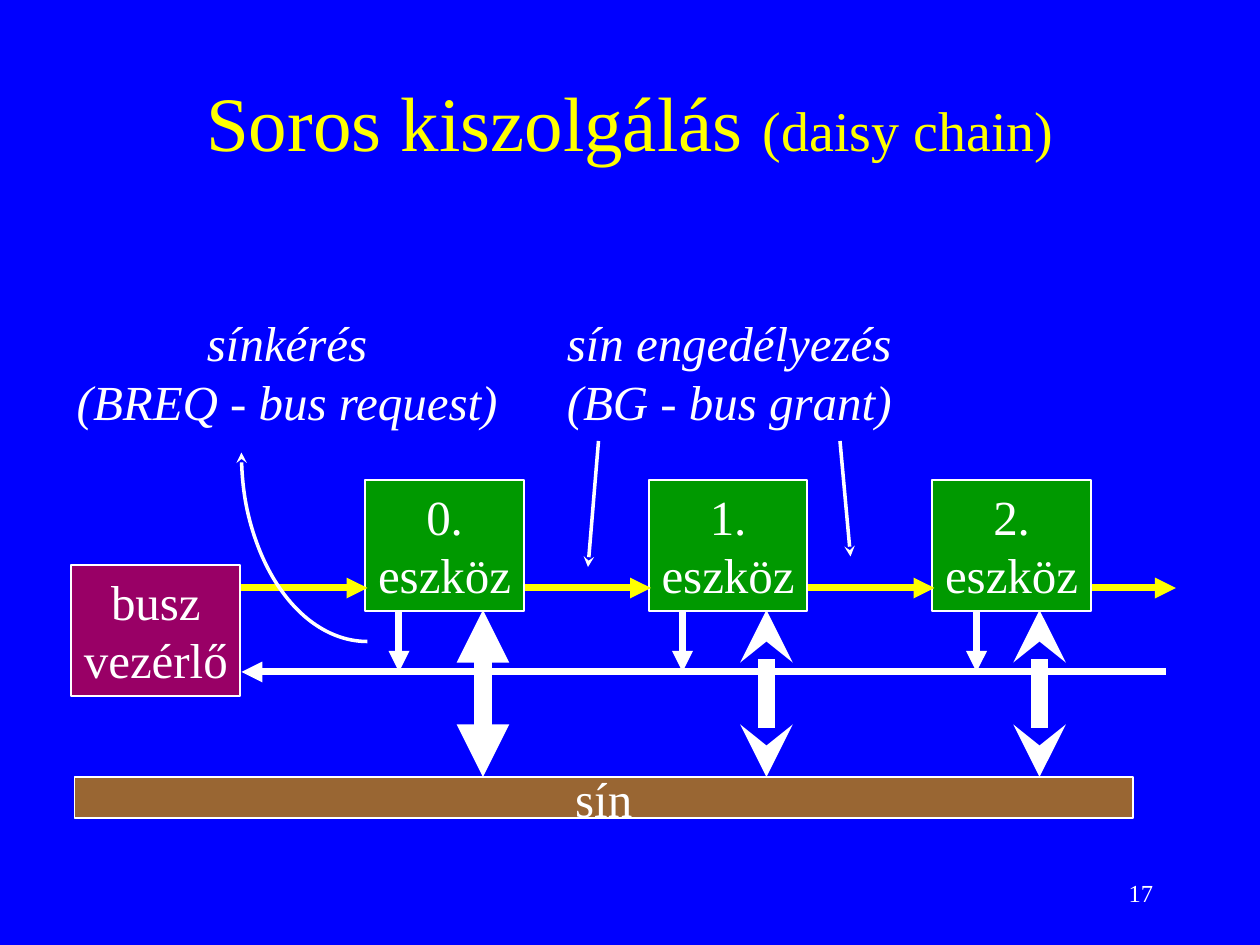
"""Builds the daisy chain bus slide on a grid of twelfths of an inch."""
from pptx import Presentation
from pptx.dml.color import RGBColor
from pptx.enum.shapes import MSO_CONNECTOR, MSO_SHAPE
from pptx.enum.text import MSO_ANCHOR, PP_ALIGN
from pptx.oxml.ns import qn
from pptx.util import Inches, Pt
from lxml import etree

LINE = MSO_CONNECTOR.STRAIGHT
RECT, ARC = MSO_SHAPE.RECTANGLE, MSO_SHAPE.ARC
TOP, MID = MSO_ANCHOR.TOP, MSO_ANCHOR.MIDDLE
LEFT, MIDDLE, RIGHT = PP_ALIGN.LEFT, PP_ALIGN.CENTER, PP_ALIGN.RIGHT

FONT = "Times New Roman"
HEX = {"back": "0000FF", "title": "FFFF00", "text": "FFFFFF", "grant": "FFFF00",
       "host": "990066", "unit": "009900", "bus": "996633"}
COLS, ROWS = 120, 90
FIRST, STEP, WIDE, TALL = 34.8, 27, 15.1, 12.5
GRANT, REQ, FOOT, BUS = 56, 64, 58.1, 74

TITLE = (("Soros kiszolgálás ", 44), ("(daisy chain)", 32))
UNITS = ("0.", "1.", "2.")
BOXES = [(6.8, 53.8, 16.1, TALL, ("busz", "vezérlő"), "host", TOP)]
BOXES += [(FIRST + STEP * i, 45.7, WIDE, TALL, (name, "eszköz"), "unit", TOP)
          for i, name in enumerate(UNITS)]
BOXES += [(7.1, BUS, 100.8, 3.9, ("sín",), "bus", MID)]
LABELS = (
    (6, 29.2, 42.7, TALL, ("sínkérés", "(BREQ - bus request)"), MIDDLE),
    (52.8, 29.2, 33.4, TALL, ("sín engedélyezés", "(BG - bus grant)"), LEFT),
)

TRI, DART = "triangle", "stealth"
ARROWS = [(23 + STEP * i, GRANT, 35 + STEP * i, GRANT, "grant", 4, None, TRI)
          for i in range(len(UNITS))]
ARROWS += [(104, GRANT, 112, GRANT, "grant", 4, None, TRI),
           (23, REQ, 111, REQ, "text", 4, TRI, None)]
ARROWS += [(x, FOOT, x, REQ, "text", 4, None, TRI) for x in (38, 65, 93)]
ARROWS += [(x, FOOT, x, BUS, "text", 10, tip, tip)
           for x, tip in ((46, TRI), (73, DART), (99, DART))]
ARROWS += [(57, 42, 56, 54, "text", 2, None, DART),
           (80, 42, 81, 53, "text", 2, None, DART)]

deck = Presentation()
deck.slide_width, deck.slide_height = Inches(10), Inches(7.5)
slide = deck.slides.add_slide(deck.slide_layouts[6])


def place(*cells):
    sizes = (deck.slide_width / COLS, deck.slide_height / ROWS)
    return [round(cell * sizes[i % 2]) for i, cell in enumerate(cells)]


def color(key):
    return RGBColor.from_string(HEX[key])


def style(font, size, key="text", slant=False):
    font.name, font.size, font.italic = FONT, Pt(size), slant
    font.color.rgb = color(key)


def write(shape, lines, align, anchor=TOP, size=28, slant=False, wrap=False):
    frame = shape.text_frame
    frame.word_wrap, frame.vertical_anchor = wrap, anchor
    frame.text = "\n".join(lines)
    for para in frame.paragraphs:
        para.alignment = align
        style(para.font, size, slant=slant)


def stroke(line, key, width, head=None, tail=None):
    line.color.rgb, line.width = color(key), Pt(width)
    for tag, kind in (("a:headEnd", head), ("a:tailEnd", tail)):
        if kind:
            etree.SubElement(line._get_or_add_ln(), qn(tag), type=kind)


def box(x, y, w, h, lines, key, anchor):
    shape = slide.shapes.add_shape(RECT, *place(x, y, w, h))
    shape.shadow.inherit = False
    shape.fill.solid()
    shape.fill.fore_color.rgb = color(key)
    stroke(shape.line, "text", 1)
    write(shape, lines, MIDDLE, anchor)


def arrow(x1, y1, x2, y2, key, width, head, tail):
    link = slide.shapes.add_connector(LINE, *place(x1, y1, x2, y2))
    stroke(link.line, key, width, head, tail)
    etree.SubElement(link._element.spPr, qn("a:effectLst"))


def curve():
    arc = slide.shapes.add_shape(ARC, *place(23, 25.1, 24, 36))
    arc.adjustments[0], arc.adjustments[1] = 54, 108
    arc.shadow.inherit = False
    arc.fill.background()
    stroke(arc.line, "text", 2, tail=DART)


def title():
    frame = slide.shapes.add_textbox(*place(9, 4, 102, 15)).text_frame
    frame.word_wrap, frame.vertical_anchor = True, MID
    para = frame.paragraphs[0]
    para.alignment = MIDDLE
    for text, size in TITLE:
        run = para.add_run()
        run.text = text
        style(run.font, size, "title")


def main():
    fill = slide.background.fill
    fill.solid()
    fill.fore_color.rgb = color("back")
    title()
    for item in BOXES:
        box(*item)
    for item in ARROWS:
        arrow(*item)
    curve()
    for *cells, lines, align in LABELS:
        write(slide.shapes.add_textbox(*place(*cells)), lines, align, slant=True)
    page = slide.shapes.add_textbox(*place(86, 82, 25, 6))
    write(page, ("17",), RIGHT, MID, 14, wrap=True)
    deck.save("out.pptx")


if __name__ == "__main__":
    main()
